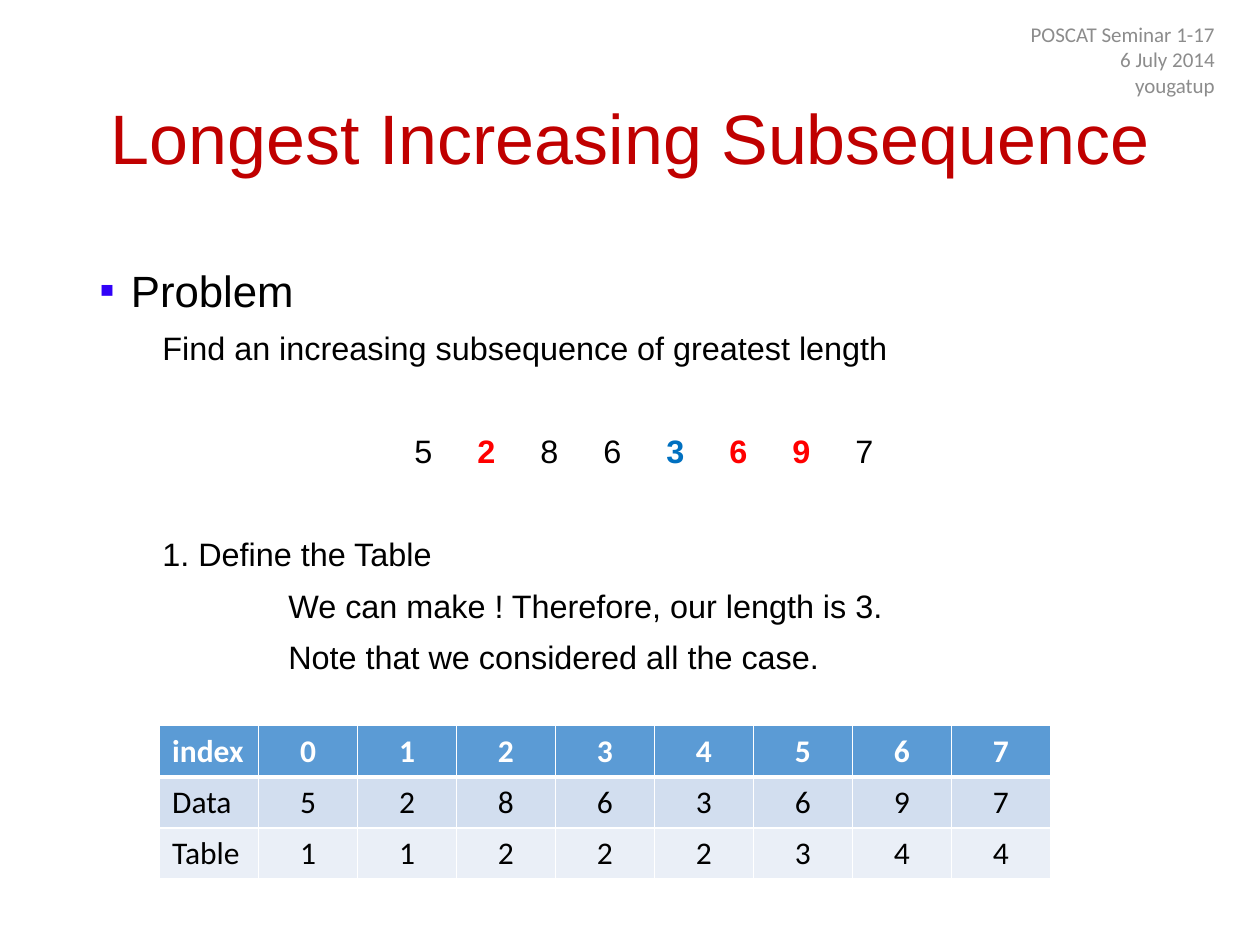
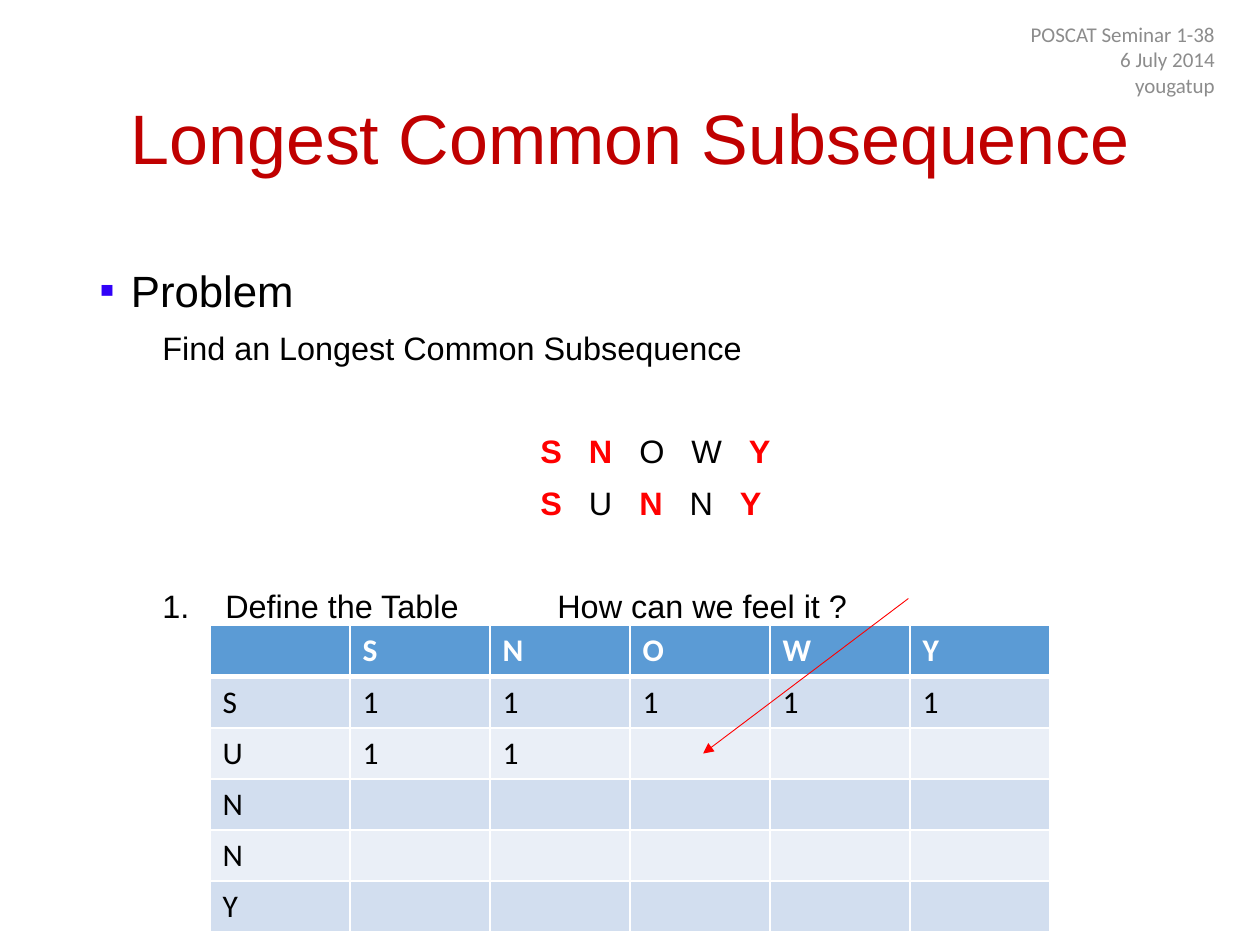
from lxml.etree import SubElement as Sub
from pptx import Presentation
from pptx.dml.color import RGBColor as RGB
from pptx.enum.shapes import MSO_CONNECTOR as Link
from pptx.enum.text import MSO_ANCHOR as Anchor, PP_ALIGN as Align
from pptx.oxml.ns import qn
from pptx.util import Pt

BLACK, WHITE = RGB(0, 0, 0), RGB(255, 255, 255)
RED, BLUE = RGB(255, 0, 0), RGB(0, 0x70, 0xC0)
CRIMSON, GRAY = RGB(0xC0, 0, 0), RGB(0x8C, 0x8C, 0x8C)
HEAD = RGB(0x5B, 0x9B, 0xD5)
BANDS = RGB(0xD2, 0xDE, 0xEF), RGB(0xEA, 0xEF, 0xF7)
MARK = "3102F8"
SIZE, GAP, BLANK = 18.5, 5, 34.4
ROW = 29.2

HEADER = "POSCAT Seminar 1-{}", "6 July 2014", "yougatup"
TOPIC = {"parts": ["Problem"], "size": 25, "left": 18, "hang": -18, "gap": 0, "mark": "▪"}

SLIDES = [
    {
        "title": "Longest Increasing Subsequence",
        "page": 17,
        "width": 644.4,
        "body": [
            TOPIC,
            {"parts": ["Find an increasing subsequence of greatest length"]},
            {"parts": "52863697", "hot": {1: RED, 4: BLUE, 5: RED, 6: RED},
             "space": 20.57, "left": 180, "gap": BLANK},
            {"parts": ["1. Define the Table"], "gap": BLANK},
            {"parts": ["We can make ! Therefore, our length is 3."], "left": 108},
            {"parts": ["Note that we considered all the case."], "left": 108},
        ],
        "at": (91.2, 414.7),
        "col": 56.56,
        "align": Align.CENTER,
        "rows": [
            ["index", *"01234567"],
            ["Data", *"52863697"],
            ["Table", *"11222344"],
        ],
    },
    {
        "title": "Longest Common Subsequence",
        "page": 38,
        "width": 620.6,
        "body": [
            TOPIC,
            {"parts": ["Find an Longest Common Subsequence"]},
            {"parts": "SNOWY", "hot": {0: RED, 1: RED, 4: RED},
             "space": 10.28, "left": 252, "gap": BLANK},
            {"parts": "SUNNY", "hot": {0: RED, 2: RED, 4: RED},
             "space": 10.28, "left": 252},
            {"parts": ["Define the Table", "How can we feel it ?"],
             "space": 51.4, "left": 72, "hang": -36, "gap": BLANK, "num": True},
        ],
        "at": (120, 357.5),
        "col": 80,
        "align": Align.LEFT,
        "rows": [
            ["", *"SNOWY"],
            ["S", *"11111"],
            ["U", "1", "1", "", "", ""],
            *([letter] + [""] * 5 for letter in "NNY"),
        ],
        "arrow": (519.1, 342, 401.8, 430.6),
    },
]


def add_run(para, text, size, color=BLACK, bold=False, face="Arial"):
    run = para.add_run()
    run.text = text
    font = run.font
    font.name, font.size, font.bold = face, Pt(size), bold
    font.color.rgb = color
    return run


def add_space(para, extra):
    run = add_run(para, " ", SIZE)
    run._r.get_or_add_rPr().set("spc", str(round(extra * 100)))


def add_box(slide, *at):
    frame = slide.shapes.add_textbox(*map(Pt, at)).text_frame
    frame.word_wrap = True
    return frame


def next_para(frame, i):
    return frame.add_paragraph() if i else frame.paragraphs[0]


def add_title(slide, text):
    frame = add_box(slide, 49.7, 28.8, 620.6, 104.4)
    frame.vertical_anchor = Anchor.MIDDLE
    para = frame.paragraphs[0]
    para.alignment, para.line_spacing = Align.CENTER, 0.9
    add_run(para, text, 40, CRIMSON)


def add_header(slide, page):
    frame = add_box(slide, 539.3, 14.2, 162, 39.6)
    frame.vertical_anchor = Anchor.MIDDLE
    for i, line in enumerate(HEADER):
        para = next_para(frame, i)
        para.alignment = Align.RIGHT
        add_run(para, line.format(page), 12, GRAY, face="Calibri")


def add_body(slide, items, width):
    frame = add_box(slide, 49.7, 144, width, 342.7)
    for i, item in enumerate(items):
        para = next_para(frame, i)
        props = para._p.get_or_add_pPr()
        props.set("marL", str(Pt(item.get("left", 36))))
        props.set("indent", str(Pt(item.get("hang", 0))))
        if "mark" in item:
            Sub(Sub(props, qn("a:buClr")), qn("a:srgbClr"), val=MARK)
            Sub(props, qn("a:buFont"), typeface="Arial")
            Sub(props, qn("a:buChar"), char=item["mark"])
        if "num" in item:
            Sub(props, qn("a:buAutoNum"), type="arabicPeriod")
        para.line_spacing = 1.1
        para.space_before = Pt(item.get("gap", GAP))
        for n, text in enumerate(item["parts"]):
            if n:
                add_space(para, item["space"])
            hot = item.get("hot", {}).get(n)
            add_run(para, text, item.get("size", SIZE), hot or BLACK, bool(hot))


def add_edges(cell, row):
    props = cell._tc.get_or_add_tcPr()
    wide = {"T": row == 1, "B": row == 0}
    for side in "LRTB":
        edge = Sub(props, qn("a:ln" + side), w=str(Pt(3 if wide.get(side) else 1)))
        Sub(Sub(edge, qn("a:solidFill")), qn("a:srgbClr"), val=str(WHITE))


def add_grid(slide, rows, at, col, align):
    wide, high = len(rows[0]), len(rows)
    size = col * wide, ROW * high
    table = slide.shapes.add_table(high, wide, *map(Pt, at + size)).table
    for part in table.columns:
        part.width = Pt(col)
    for r, row in enumerate(rows):
        table.rows[r].height = Pt(ROW)
        for c, text in enumerate(row):
            cell = table.cell(r, c)
            add_edges(cell, r)
            cell.fill.solid()
            cell.fill.fore_color.rgb = BANDS[(r - 1) % 2] if r else HEAD
            if text:
                para = cell.text_frame.paragraphs[0]
                para.alignment = align if c else Align.LEFT
                add_run(para, text, 18, BLACK if r else WHITE, r == 0, "Calibri")


def add_arrow(slide, ends):
    link = slide.shapes.add_connector(Link.STRAIGHT, *map(Pt, ends))
    link.line.color.rgb, link.line.width = RED, Pt(0.5)
    Sub(link.line._get_or_add_ln(), qn("a:tailEnd"), type="triangle")
    Sub(link._element.spPr, qn("a:effectLst"))


def main():
    deck = Presentation()
    deck.slide_width, deck.slide_height = Pt(720), Pt(540)
    for page in SLIDES:
        slide = deck.slides.add_slide(deck.slide_layouts[6])
        add_title(slide, page["title"])
        add_body(slide, page["body"], page["width"])
        add_header(slide, page["page"])
        add_grid(slide, page["rows"], page["at"], page["col"], page["align"])
        if "arrow" in page:
            add_arrow(slide, page["arrow"])
    deck.save("out.pptx")


if __name__ == "__main__":
    main()
